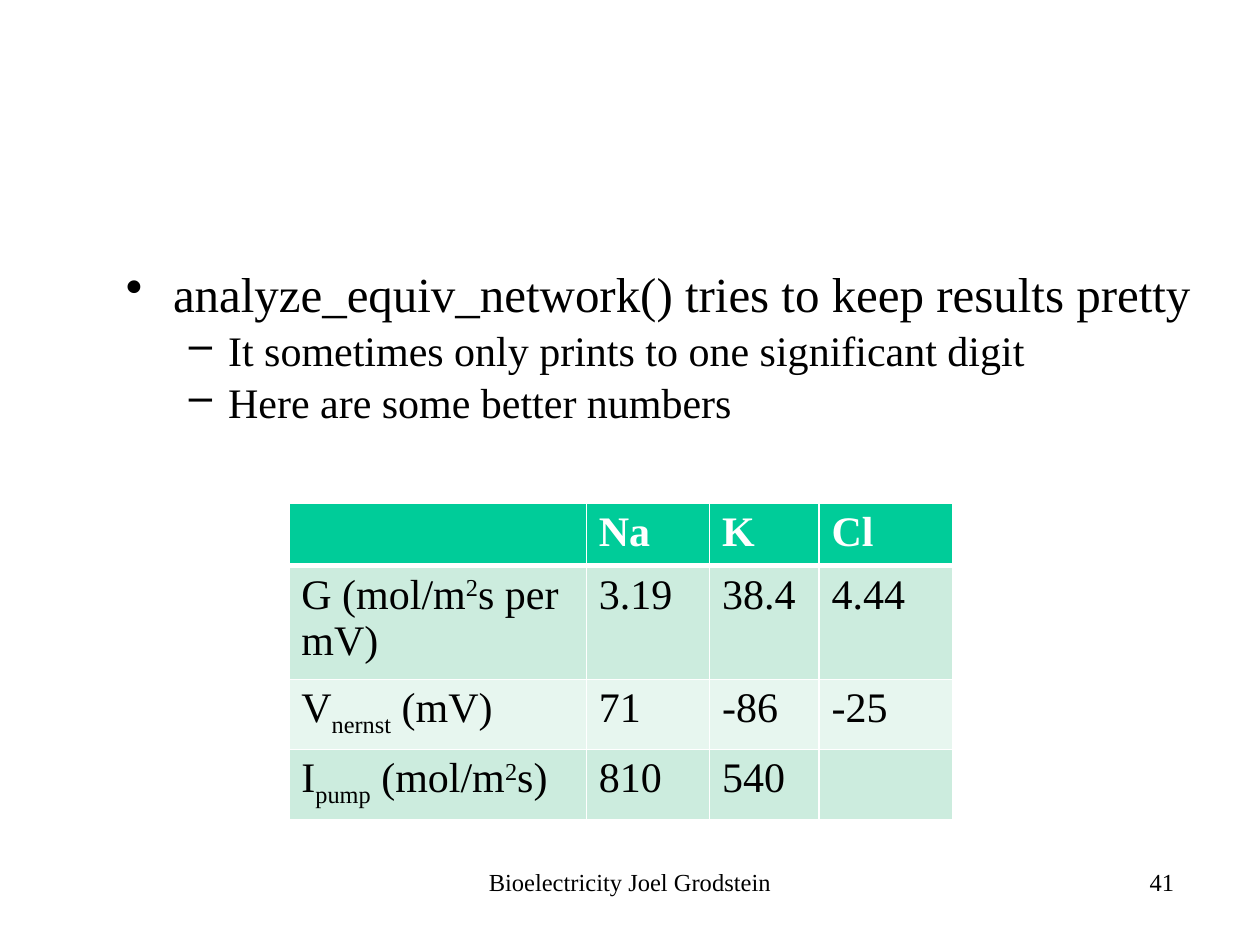
from lxml import etree
from pptx import Presentation
from pptx.dml.color import RGBColor
from pptx.enum.text import PP_ALIGN
from pptx.oxml.ns import qn
from pptx.util import Pt

LEFT, CENTER, RIGHT = PP_ALIGN.LEFT, PP_ALIGN.CENTER, PP_ALIGN.RIGHT
FONT = "Times New Roman"
COLORS = {
    "text": "000000",
    "white": "FFFFFF",
    "header": "00CC99",
    "band_dark": "CCECDE",
    "band_light": "E7F6EF",
}
SUPER, SUB = 30000, -25000

# Bullet character, size, left indent, hanging indent, text
BULLETS = [
    ("•", 28, 27, 27, "analyze_equiv_network() tries to keep results pretty"),
    ("–", 24, 58.5, 22.5, "It sometimes only prints to one significant digit"),
    ("–", 24, 58.5, 22.5, "Here are some better numbers"),
]

# Each cell is a list of (text, baseline shift) runs
LABELS = [
    [],
    [("G (mol/m", 0), ("2", SUPER), ("s per mV)", 0)],
    [("V", 0), ("nernst", SUB), (" (mV)", 0)],
    [("I", 0), ("pump", SUB), (" (mol/m", 0), ("2", SUPER), ("s)", 0)],
]
VALUES = [
    ["Na", "K", "Cl"],
    ["3.19", "38.4", "4.44"],
    ["71", "-86", "-25"],
    ["810", "540", ""],
]
COLUMN_WIDTHS = [170, 70.5, 62.5, 76.5]
ROW_HEIGHTS = [33, 60.5, 37.5, 37.5]


def add_span(para, text, size, color="text", bold=False, shift=0):
    span = para.add_run()
    span.text = text
    span.font.name = FONT
    span.font.size = Pt(size)
    span.font.bold = bold
    span.font.color.rgb = RGBColor.from_string(COLORS[color])
    if shift:
        span.font._element.set("baseline", str(shift))


def add_frame(page, left, top, width, height):
    box = page.shapes.add_textbox(Pt(left), Pt(top), Pt(width), Pt(height))
    box.text_frame.word_wrap = True
    return box.text_frame


def add_label(page, left, top, width, height, text, align):
    para = add_frame(page, left, top, width, height).paragraphs[0]
    para.alignment = align
    add_span(para, text, 14)


def set_bullet(para, char, left, hanging):
    properties = para._p.get_or_add_pPr()
    properties.set("marL", str(Pt(left)))
    properties.set("indent", str(-Pt(hanging)))
    etree.SubElement(properties, qn("a:buChar")).set("char", char)


def add_bullets(page, left, top, width, height):
    frame = add_frame(page, left, top, width, height)
    frame.margin_top = Pt(6)
    for index, (char, size, indent, hanging, text) in enumerate(BULLETS):
        para = frame.add_paragraph() if index else frame.paragraphs[0]
        para.alignment = LEFT
        set_bullet(para, char, indent, hanging)
        if index:
            para.level = 1
            para.space_before = Pt(1)
        add_span(para, text, size)


def set_borders(cell, widths):
    """Draw white borders; widths maps the side letters L, R, T, B to points."""
    properties = cell._tc.get_or_add_tcPr()
    for side, width in widths.items():
        line = etree.SubElement(properties, qn(f"a:ln{side}"), w=str(Pt(width)))
        fill = etree.SubElement(line, qn("a:solidFill"))
        etree.SubElement(fill, qn("a:srgbClr"), val=COLORS["white"])


def fill_cell(cell, spans, row):
    set_borders(cell, {"L": 1, "R": 1,
                       "T": 3 if row == 1 else 1,
                       "B": 3 if row == 0 else 1})
    band = "header" if row == 0 else "band_dark" if row % 2 else "band_light"
    cell.fill.solid()
    cell.fill.fore_color.rgb = RGBColor.from_string(COLORS[band])
    for text, shift in spans:
        add_span(cell.text_frame.paragraphs[0], text, 24,
                 "text" if row else "white", row == 0, shift)


def add_ion_table(page, left, top):
    table = page.shapes.add_table(
        len(ROW_HEIGHTS), len(COLUMN_WIDTHS), Pt(left), Pt(top),
        Pt(sum(COLUMN_WIDTHS)), Pt(sum(ROW_HEIGHTS))).table
    for column, width in zip(table.columns, COLUMN_WIDTHS):
        column.width = Pt(width)
    for row, (label, values) in enumerate(zip(LABELS, VALUES)):
        table.rows[row].height = Pt(ROW_HEIGHTS[row])
        cells = [label] + [[(value, 0)] if value else [] for value in values]
        for column, spans in enumerate(cells):
            fill_cell(table.cell(row, column), spans, row)


def add_footer(page, top):
    add_label(page, 450, top, 228, 36, "41", RIGHT)
    add_label(page, 246, top, 228, 24.5, "Bioelectricity Joel Grodstein", CENTER)


def main():
    deck = Presentation()
    deck.slide_width, deck.slide_height = Pt(720), Pt(540)
    page = deck.slides.add_slide(deck.slide_layouts[6])
    add_bullets(page, 64.8, 144.7, 623.5, 124.5)
    add_ion_table(page, 165, 287.3)
    add_footer(page, 491.8)
    deck.save("out.pptx")


if __name__ == "__main__":
    main()
